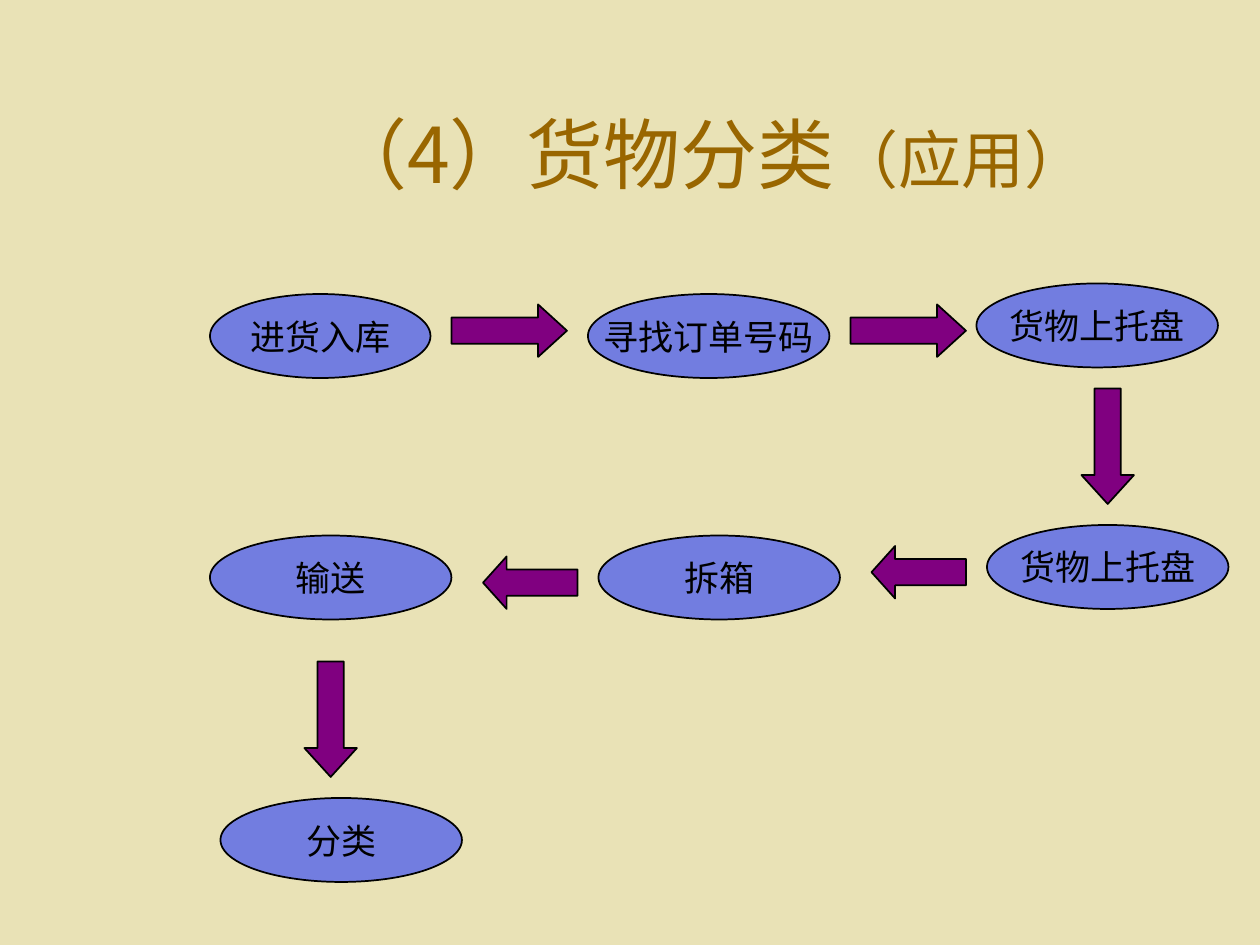
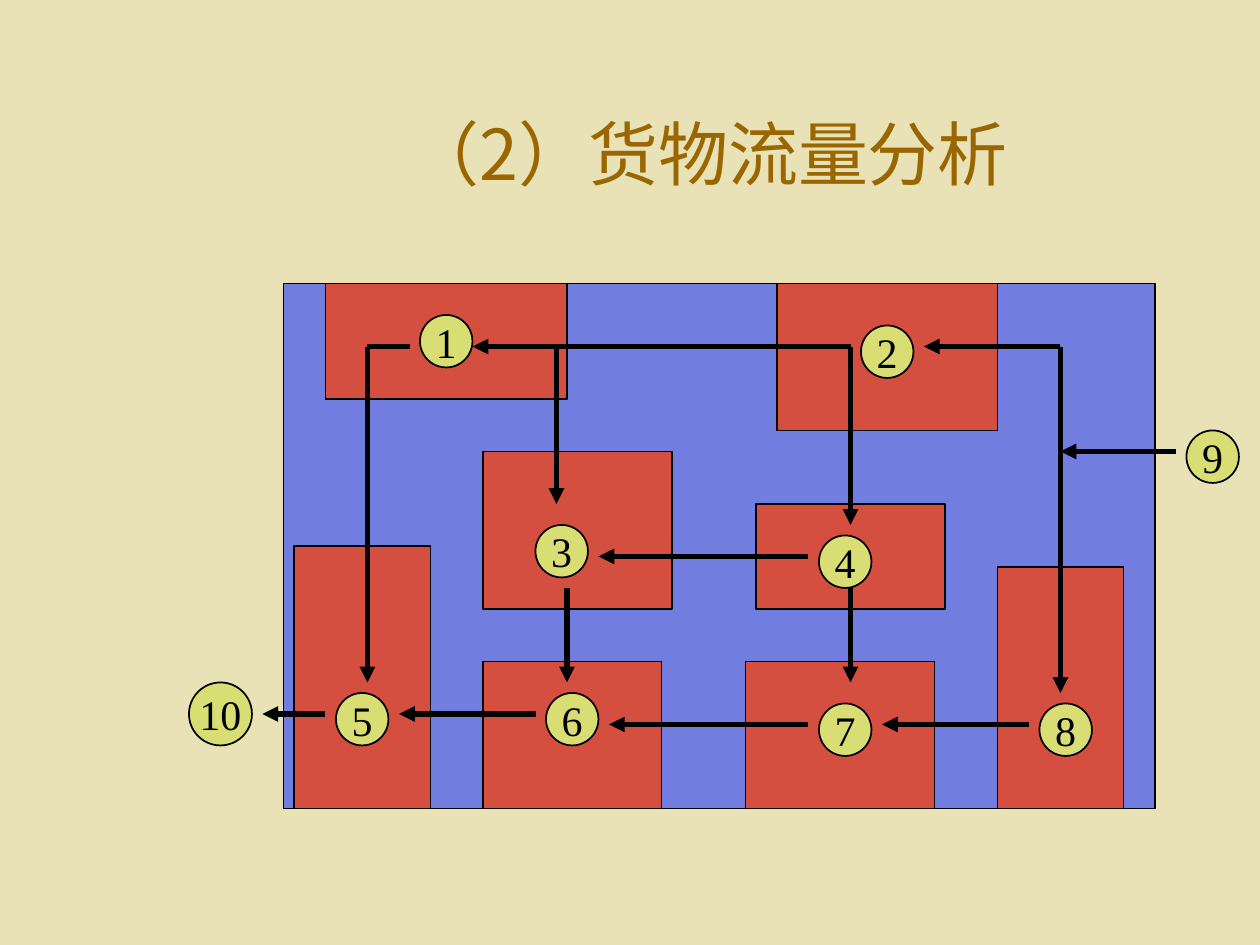
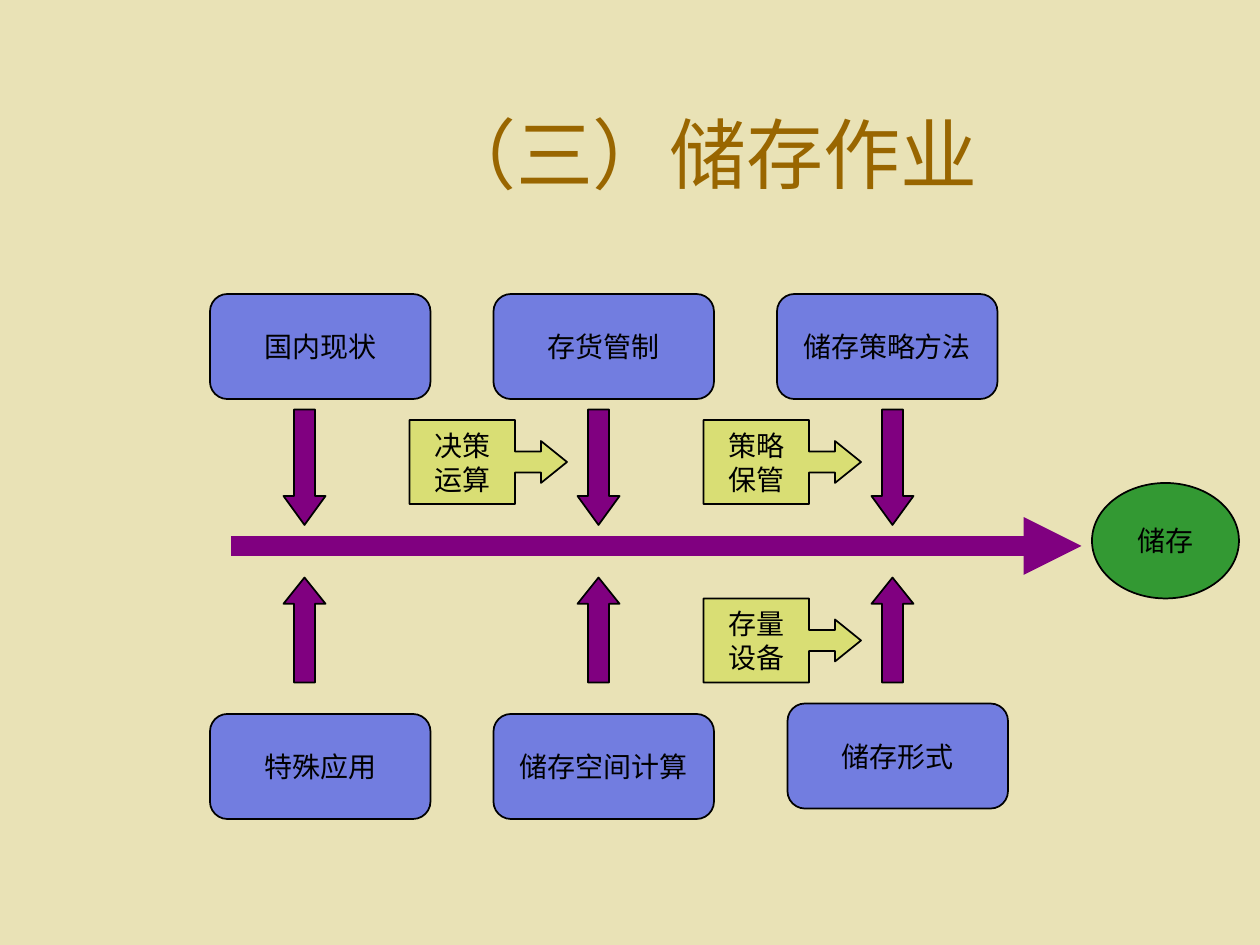
import pptx
import pptx.util
import pptx.dml.color
import pptx.enum.shapes
import pptx.enum.text
import pptx.oxml.ns
from lxml import etree

Cm = pptx.util.Cm
Pt = pptx.util.Pt
RGBColor = pptx.dml.color.RGBColor
MSO_SHAPE = pptx.enum.shapes.MSO_SHAPE
qn = pptx.oxml.ns.qn

# Shared style
SAND = RGBColor(0xE9, 0xE2, 0xB6)
BROWN = RGBColor(0x99, 0x66, 0x00)
BLUE = RGBColor(0x72, 0x7D, 0xE0)
RED = RGBColor(0xD5, 0x4F, 0x41)
LIME = RGBColor(0xD9, 0xDE, 0x74)
GREEN = RGBColor(0x33, 0x99, 0x33)
PURPLE = RGBColor(0x80, 0x00, 0x80)
BLACK = RGBColor(0x00, 0x00, 0x00)
SERIF = "Times New Roman"
SANS = "Noto Sans CJK SC"
TITLE_ONLY = 5


def grid(steps):
    """Length of a number of grid steps, twelve to 2.54 cm."""
    return Cm(2.54 * steps / 12)


def format_paragraph(paragraph, size, color, font):
    paragraph.alignment = pptx.enum.text.PP_ALIGN.CENTER
    paragraph.font.size = Pt(size)
    paragraph.font.name = font
    paragraph.font.color.rgb = color


class Board:
    """Diagram area of a slide; all places are grid steps from its corner."""

    def __init__(self, slide, left, top):
        self.shapes = slide.shapes
        self.left, self.top = left, top

    def place(self, x, y):
        return grid(self.left + x), grid(self.top + y)

    def block(self, kind, x, y, width, height, fill, text="", size=16):
        block = self.shapes.add_shape(
            kind, *self.place(x, y), grid(width), grid(height))
        block.shadow.inherit = False
        block.fill.solid()
        block.fill.fore_color.rgb = fill
        block.line.color.rgb = BLACK
        block.line.width = Pt(1)
        if text:
            frame = block.text_frame
            frame.text = text
            frame.word_wrap = False
            frame.vertical_anchor = pptx.enum.text.MSO_ANCHOR.MIDDLE
            for paragraph in frame.paragraphs:
                format_paragraph(paragraph, size, BLACK, SERIF)
        return block

    def arrow(self, kind, x, y, width, height):
        """Block arrow whose head takes a quarter of its length."""
        arrow = self.block(kind, x, y, width, height, PURPLE)
        arrow.adjustments[0] = 0.5
        arrow.adjustments[1] = max(width, height) / min(width, height) / 4

    def line(self, start, end, color=BLACK, weight=3, head=True):
        line = self.shapes.add_connector(
            pptx.enum.shapes.MSO_CONNECTOR.STRAIGHT,
            *self.place(*start), *self.place(*end))
        line.line.color.rgb = color
        line.line.width = Pt(weight)
        properties = line._element.spPr
        if head:
            etree.SubElement(properties.find(qn("a:ln")), qn("a:tailEnd"), type="triangle")
        etree.SubElement(properties, qn("a:effectLst"))


def set_up_template(deck):
    deck.slide_width, deck.slide_height = Cm(25.4), Cm(19.05)
    backdrop = deck.slide_master.background.fill
    backdrop.solid()
    backdrop.fore_color.rgb = SAND
    title = deck.slide_layouts[TITLE_ONLY].placeholders[0]
    title.left, title.top = grid(18), grid(7)
    title.width, title.height = grid(99), grid(15)


def add_titled_slide(deck, heading, size, font):
    slide = deck.slides.add_slide(deck.slide_layouts[TITLE_ONLY])
    frame = slide.shapes.title.text_frame
    frame.text = heading
    frame.vertical_anchor = pptx.enum.text.MSO_ANCHOR.MIDDLE
    format_paragraph(frame.paragraphs[0], size, BROWN, font)
    return slide


# Goods sorting: steps joined by block arrows
def draw_sorting_steps(board):
    for text, x, y, width in (
            ("进货入库", 0, 1, 21), ("寻找订单号码", 36, 1, 23),
            ("货物上托盘", 73, 0, 23), ("货物上托盘", 74, 23, 23),
            ("拆箱", 37, 24, 23), ("输送", 0, 24, 23), ("分类", 1, 49, 23)):
        board.block(MSO_SHAPE.OVAL, x, y, width, 8, BLUE, text, 20)
    for x in (23, 61):
        board.arrow(MSO_SHAPE.RIGHT_ARROW, x, 2, 11, 5)
    for x, y in ((63, 25), (26, 26)):
        board.arrow(MSO_SHAPE.LEFT_ARROW, x, y, 9, 5)
    for x, y in ((83, 10), (9, 36)):
        board.arrow(MSO_SHAPE.DOWN_ARROW, x, y, 5, 11)


# Goods flow: floor plan with rooms, numbered stops and routes
def draw_floor_plan(board):
    board.block(MSO_SHAPE.RECTANGLE, 0, 0, 83, 50, BLUE)
    for room in ((4, 0, 23, 11), (47, 0, 21, 14), (1, 25, 13, 25),
                 (19, 36, 17, 14), (19, 16, 18, 15), (44, 36, 18, 14),
                 (68, 27, 12, 23), (45, 21, 18, 10)):
        board.block(MSO_SHAPE.RECTANGLE, *room, RED)

    stops = ((13, 3), (55, 4), (24, 23), (51, 24), (5, 39),
             (25, 39), (51, 40), (72, 40), (86, 14), (-9, 38))
    for number, (x, y) in enumerate(stops, 1):
        diameter = 6 if number == 10 else 5
        board.block(MSO_SHAPE.OVAL, x, y, diameter, diameter, LIME, str(number), 24)

    for start, end in (
            ((85, 16), (74, 16)), ((74, 16), (74, 39)), ((74, 6), (61, 6)),
            ((54, 6), (18, 6)), ((54, 6), (54, 23)), ((50, 26), (30, 26)),
            ((71, 42), (57, 42)), ((50, 42), (31, 42)), ((24, 41), (11, 41)),
            ((27, 29), (27, 38)), ((54, 29), (54, 38)), ((26, 6), (26, 21)),
            ((8, 6), (8, 38)), ((4, 41), (-2, 41))):
        board.line(start, end)
    for start, end in (((74, 16), (74, 6)), ((8, 6), (12, 6))):
        board.line(start, end, head=False)


# Storage: factors above and below a main arrow to the goal
def draw_storage_factors(board):
    for text, x, y in (
            ("国内现状", 0, 0), ("存货管制", 27, 0), ("储存策略方法", 54, 0),
            ("特殊应用", 0, 40), ("储存空间计算", 27, 40), ("储存形式", 55, 39)):
        board.block(MSO_SHAPE.ROUNDED_RECTANGLE, x, y, 21, 10, BLUE, text)
    board.block(MSO_SHAPE.OVAL, 84, 18, 14, 11, GREEN, "储存")
    board.line((2, 24), (83, 24), PURPLE, 11)
    for column in range(3):
        x = 7 + 28 * column
        board.arrow(MSO_SHAPE.DOWN_ARROW, x, 11, 4, 11)
        board.arrow(MSO_SHAPE.UP_ARROW, x, 27, 4, 10)
    for text, x, y in (("策略\n保管", 47, 12), ("决策\n运算", 19, 12),
                       ("存量\n设备", 47, 29)):
        callout = board.block(MSO_SHAPE.RIGHT_ARROW_CALLOUT, x, y, 15, 8, LIME, text)
        for index, value in enumerate((0.25, 0.25, 0.31, 0.67)):
            callout.adjustments[index] = value


def main():
    deck = pptx.Presentation()
    set_up_template(deck)

    sorting = add_titled_slide(deck, "（4）货物分类", 44, SANS)
    suffix = sorting.shapes.title.text_frame.paragraphs[0].add_run()
    suffix.text = "（应用）"
    suffix.font.size = Pt(36)
    draw_sorting_steps(Board(sorting, 20, 27))

    flow = add_titled_slide(deck, "（2）货物流量分析", 40, SANS)
    draw_floor_plan(Board(flow, 27, 27))

    storage = add_titled_slide(deck, "（三）储存作业", 44, SERIF)
    draw_storage_factors(Board(storage, 20, 28))

    deck.save("out.pptx")


if __name__ == "__main__":
    main()
